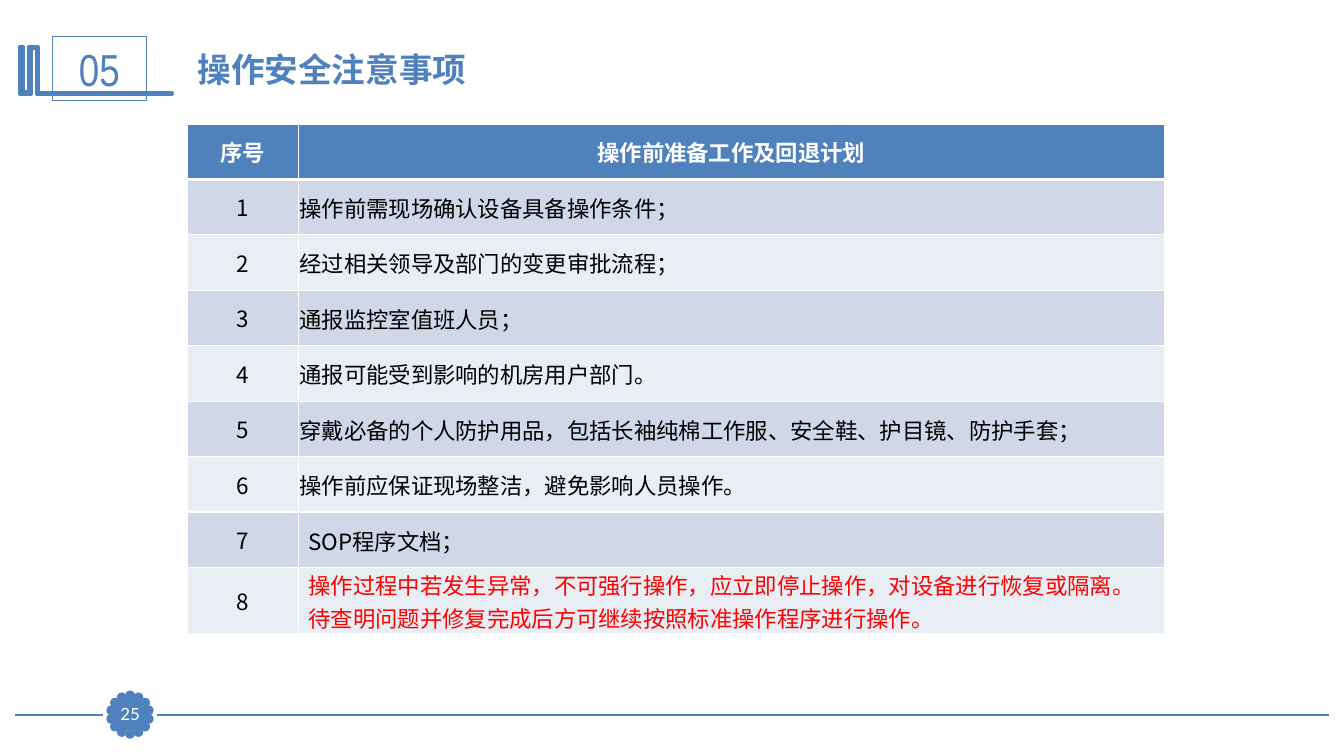
from math import cos, pi, sin

from lxml.etree import SubElement
from pptx import Presentation
from pptx.dml.color import RGBColor
from pptx.enum.shapes import MSO_CONNECTOR, MSO_SHAPE
from pptx.enum.text import MSO_ANCHOR, PP_ALIGN
from pptx.oxml import parse_xml
from pptx.oxml.ns import nsdecls, qn
from pptx.util import Inches, Pt

BLUE, WHITE, BLACK, RED = "4F81BD", "FFFFFF", "000000", "FF0000"
BANDS = ["D0D8E8", "E9EDF4"]
CHINESE_FONT = "Noto Sans CJK SC"
HEADERS = ["序号", "操作前准备工作及回退计划"]
STEPS = [
    "操作前需现场确认设备具备操作条件；",
    "经过相关领导及部门的变更审批流程；",
    "通报监控室值班人员；",
    "通报可能受到影响的机房用户部门。",
    "穿戴必备的个人防护用品，包括长袖纯棉工作服、安全鞋、护目镜、防护手套；",
    "操作前应保证现场整洁，避免影响人员操作。",
    "SOP程序文档；",
    "操作过程中若发生异常，不可强行操作，应立即停止操作，对设备进行恢复或隔离。"
    "待查明问题并修复完成后方可继续按照标准操作程序进行操作。",
]


def color(value):
    return RGBColor.from_string(value)


def write(text_frame, text, size, font, hex_color, bold=False, align=PP_ALIGN.LEFT):
    text_frame.text = text
    text_frame.word_wrap = True
    paragraph = text_frame.paragraphs[0]
    paragraph.alignment = align
    run = paragraph.runs[0]
    run.font.size, run.font.name, run.font.bold = Pt(size), font, bold
    run.font.color.rgb = color(hex_color)
    properties = run.font._element
    SubElement(properties, qn("a:ea")).set("typeface", CHINESE_FONT)


def paint(shape, fill, line_width):
    shape.shadow.inherit = False
    if fill:
        shape.fill.solid()
        shape.fill.fore_color.rgb = color(fill)
    else:
        shape.fill.background()
    shape.line.color.rgb = color(BLUE)
    shape.line.width = Pt(line_width)


def add_preset(slide, kind, box, fill, line_width):
    shape = slide.shapes.add_shape(kind, *map(Inches, box))
    paint(shape, fill, line_width)
    return shape


def add_footer(slide, left, top, width, number):
    center = left + 1.14
    middle = top
    # Rule, interrupted by the badge
    for start, end in [(left, left + 0.87), (left + 1.41, left + width)]:
        rule = slide.shapes.add_connector(
            MSO_CONNECTOR.STRAIGHT, Inches(start), Inches(middle), Inches(end), Inches(middle))
        rule.line.color.rgb = color(BLUE)
        rule.line.width = Pt(1.25)
        SubElement(rule._element.spPr, qn("a:effectLst"))
    # Scalloped edge of the badge
    petals, radius, size = 14, 0.19, 0.07
    for index in range(petals):
        angle = 2 * pi * index / petals
        x = center + radius * sin(angle) - size / 2
        y = middle - radius * cos(angle) - size / 2
        add_preset(slide, MSO_SHAPE.OVAL, (x, y, size, size), BLUE, 2)
    # Page number
    badge = add_preset(slide, MSO_SHAPE.RECTANGLE,
                       (center - 0.16, middle - 0.16, 0.32, 0.31), BLUE, 0.75)
    frame = badge.text_frame
    frame.margin_left = frame.margin_right = frame.margin_top = frame.margin_bottom = 0
    frame.vertical_anchor = MSO_ANCHOR.MIDDLE
    write(frame, number, 12, "Lato", WHITE, align=PP_ALIGN.CENTER)


def add_heading(slide, left, top, number, title):
    # Bracket outline, relative to its top left corner
    bracket_left, bracket_top = left, top + 0.1
    outline = [(0.18, 0), (0.19, 0), (0.19, 0.46), (1.52, 0.46), (1.52, 0.48), (0.17, 0.48),
               (0.17, 0.02), (0.12, 0.02), (0.12, 0.48), (0, 0.48), (0, 0), (0.04, 0),
               (0.04, 0.45), (0.09, 0.45), (0.09, 0)]
    points = [(Inches(bracket_left + x), Inches(bracket_top + y)) for x, y in outline]
    builder = slide.shapes.build_freeform(*points[0])
    builder.add_line_segments(points[1:], close=True)
    paint(builder.convert_to_shape(), "339933", 2)
    # Section number
    frame = add_preset(slide, MSO_SHAPE.RECTANGLE,
                       (left + 0.33, top, 0.93, 0.64), None, 0.75).text_frame
    frame.vertical_anchor = MSO_ANCHOR.MIDDLE
    write(frame, number, 32, "Arial Narrow", BLUE, align=PP_ALIGN.CENTER)
    # Title
    text_box = slide.shapes.add_textbox(
        Inches(left + 1.67), Inches(top + 0.08), Inches(9.69), Inches(0.51))
    write(text_box.text_frame, title, 24, "Lato", BLUE, bold=True)


def style_cell(cell, fill, bottom_width=1):
    cell.vertical_anchor = MSO_ANCHOR.MIDDLE
    cell.fill.solid()
    cell.fill.fore_color.rgb = color(fill)
    properties = cell._tc.get_or_add_tcPr()
    for index, side in enumerate("LRTB"):
        width = Pt(bottom_width if side == "B" else 1)
        properties.insert(index, parse_xml(
            f'<a:ln{side} {nsdecls("a")} w="{width}"><a:solidFill>'
            f'<a:srgbClr val="{WHITE}"/></a:solidFill></a:ln{side}>'))


def add_steps_table(slide, left, top, width):
    row_height, last_height, number_width = 0.55, 0.66, 1.1
    height = row_height * len(STEPS) + last_height
    table = slide.shapes.add_table(
        len(STEPS) + 1, 2, *map(Inches, (left, top, width, height))).table
    table.columns[0].width = Inches(number_width)
    table.columns[1].width = Inches(width - number_width)
    for row in table.rows:
        row.height = Inches(row_height)
    table.rows[len(STEPS)].height = Inches(last_height)
    # Header row
    for column, header in enumerate(HEADERS):
        cell = table.cell(0, column)
        style_cell(cell, BLUE, bottom_width=3)
        write(cell.text_frame, header, 16, "Lato", WHITE, True, PP_ALIGN.CENTER)
    # Numbered steps; the last two are indented, the last one is a warning
    for number, step in enumerate(STEPS, 1):
        number_cell, step_cell = table.cell(number, 0), table.cell(number, 1)
        for cell in (number_cell, step_cell):
            style_cell(cell, BANDS[(number - 1) % 2])
        write(number_cell.text_frame, str(number), 16, CHINESE_FONT, BLACK,
              align=PP_ALIGN.CENTER)
        step_color = RED if number == len(STEPS) else BLACK
        write(step_cell.text_frame, step, 16, CHINESE_FONT, step_color)
        step_cell.margin_top, step_cell.margin_bottom = Inches(0.01), 0
        if number <= len(STEPS) - 2:
            step_cell.margin_left = step_cell.margin_right = Inches(0.01)


def main():
    presentation = Presentation()
    presentation.slide_width, presentation.slide_height = Inches(13.33), Inches(7.5)
    slide = presentation.slides.add_slide(presentation.slide_layouts[6])
    add_footer(slide, 0.15, 7.09, 13.03, "25")
    add_heading(slide, 0.19, 0.36, "05", "操作安全注意事项")
    add_steps_table(slide, 1.86, 1.23, 9.69)
    presentation.save("out.pptx")


if __name__ == "__main__":
    main()
